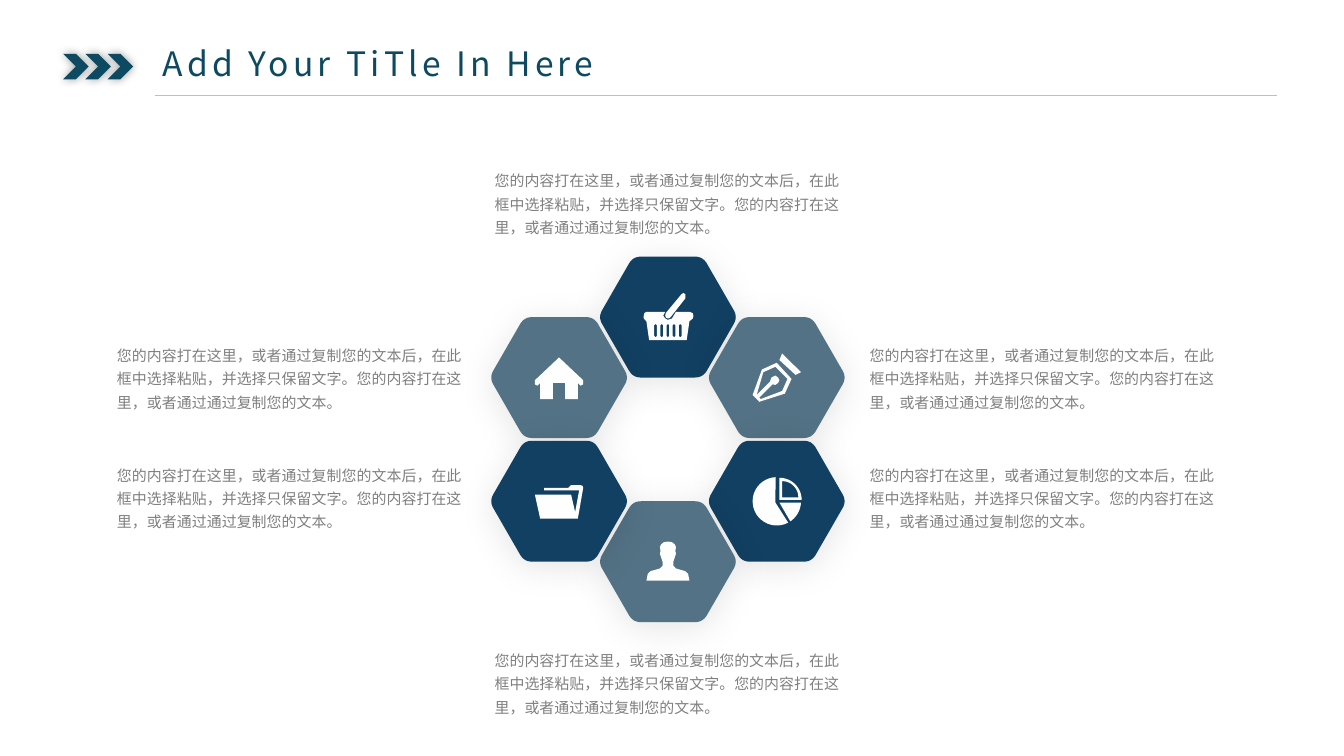
import math
from dataclasses import dataclass

from lxml import etree
from pptx import Presentation
from pptx import util as u
from pptx.dml.color import RGBColor
from pptx.enum import shapes, text
from pptx.oxml.ns import qn


@dataclass(frozen=True)
class Theme:
    title_font: str = "Noto Sans CJK JP"
    body_font: str = "Noto Sans CJK SC"
    title_size: float = 18
    body_size: float = 8
    title: str = "0D4960"
    body: str = "808080"
    rule: str = "BFBFBF"
    dark: str = "124062"
    light: str = "537285"
    icon: str = "FEFEFE"


THEME = Theme()
BODY = ("您的内容打在这里，或者通过复制您的文本后，在此框中选择粘贴，并选择只保留文字。"
        "您的内容打在这里，或者通过通过复制您的文本。")
CAPTION_SIZE = (2.72, 0.6)
CAPTION_SPOTS = [(3.61, 1.2), (6.4, 2.5), (6.4, 3.39), (3.61, 4.77), (0.8, 2.5), (0.8, 3.39)]

# Ring of hexagons, in inches
RING_X, RING_Y = 4.97, 3.27
COLUMN, NEAR_ROW, FAR_ROW = 0.81, 0.46, 0.91
APOTHEM, CORNER_TRIM = 0.45, 0.06


def mirrored(half):
    """Complete a symmetric outline from its right half."""
    return half + [(-x, y) for x, y in reversed(half)]


def sector(apex, center, radius, start, end):
    """Outline from the apex along an arc; degrees run clockwise from the right."""
    steps = 24
    angles = [math.radians(start + (end - start) * i / steps) for i in range(steps + 1)]
    return [apex] + [(center[0] + radius * math.cos(a), center[1] + radius * math.sin(a))
                     for a in angles]


def slot(x):
    return [(x - 1, 6), (x, 5), (x + 1, 6), (x + 1, 14), (x, 15), (x - 1, 14)]


# Icon outlines in hundredths of an inch from the hexagon's centre
BASKET = [
    [(0, 1), (-1.4, 0.4), (-2, -1), (-1.6, -3), (10, -17), (11.5, -18),
     (13, -17), (13, -14), (2, 0), (1, 0.8)],
    [(19, -1), (18.5, 1), (16, 3), (14, 17), (-14, 17), (-16, 3), (-18, 1), (-18, -1),
     (-17.5, -3), (-16, -4), (-2, -4), (-3.5, -1), (-2, 1), (0, 2), (3, 1), (6, -4),
     (16, -4), (18.5, -3)],
] + [slot(4.6 * i) for i in range(-2, 3)]
PEN = [
    [(4, -18), (18, -4), (14, -2), (2, -13)],
    [(11, 1), (0, -11), (-11, -6), (-18, 13), (-13, 18), (6, 12)],
    [(-12, 16), (-13, 15), (-3, 5), (-1, 5.5), (1, 4), (2, 2), (1, 0), (-1, -1.5),
     (-4, 0), (-5, 3), (-15, 13), (-10, -4), (-1, -8), (8, 1), (4, 10)],
]
HOUSE = [mirrored([(0, -15), (18, 2), (18, 5), (16, 6), (14, 4), (14, 16), (4.5, 16), (4.5, 4)])]
PIE = [
    sector((-1, 1), (0, 0), 18, 62, 267),
    sector((2, -1), (2, -1), 16.5, 0, -90),
    sector((4, -3), (4, -3), 12, 0, -90),
    sector((2, 1), (0, 0), 18, 3, 56),
]
PERSON = [mirrored([(0, -15), (3, -14.6), (5, -13), (6, -11), (5.5, -8), (6, -6), (5, -3), (4, 0),
                    (4, 3), (6, 5), (13, 7), (15, 9), (16, 14)])]
FOLDER = [[(16, -12), (9, -12), (7, -10), (-11, -10), (-11, -8), (15, -8), (12, 8), (9, -5),
           (-18, -5), (-14, 13), (14, 13), (18, -10), (17.5, -11.5)]]

HEXAGONS = [
    (0, -FAR_ROW, THEME.dark, BASKET),
    (COLUMN, -NEAR_ROW, THEME.light, PEN),
    (-COLUMN, -NEAR_ROW, THEME.light, HOUSE),
    (COLUMN, NEAR_ROW, THEME.dark, PIE),
    (0, FAR_ROW, THEME.light, PERSON),
    (-COLUMN, NEAR_ROW, THEME.dark, FOLDER),
]


def rounded_hexagon():
    """Outline round the origin, each corner drawn as a quadratic curve."""
    side = APOTHEM / math.cos(math.pi / 6)
    corners = [(side * math.cos(i * math.pi / 3), side * math.sin(i * math.pi / 3))
               for i in range(6)]
    share, steps, outline = CORNER_TRIM / side, 8, []
    for i, corner in enumerate(corners):
        before, after = corners[i - 1], corners[(i + 1) % 6]
        start, end = ([c + (n - c) * share for c, n in zip(corner, near)]
                      for near in (before, after))
        for t in (step / steps for step in range(steps + 1)):
            outline.append(tuple((1 - t) ** 2 * s + 2 * t * (1 - t) * c + t * t * e
                                 for s, c, e in zip(start, corner, end)))
    return outline


def paint(shape, color):
    shape.fill.solid()
    shape.fill.fore_color.rgb = RGBColor.from_string(color)
    shape.line.fill.background()
    shape.shadow.inherit = False


def add_shadow(shape, opacity, blur, distance=0, **options):
    effects = shape.element.spPr.find(qn("a:effectLst"))
    shadow = etree.SubElement(effects, qn("a:outerShdw"), blurRad=str(u.Pt(blur)),
                              dist=str(u.Pt(distance)), dir="5400000", **options, rotWithShape="0")
    black = etree.SubElement(shadow, qn("a:srgbClr"), val="000000")
    etree.SubElement(black, qn("a:alpha"), val=str(opacity * 1000))


def add_outline(slide, contours, center, unit, color):
    def place(point):
        return [u.Inches(c + p * unit) for c, p in zip(center, point)]

    first, *others = contours
    builder = slide.shapes.build_freeform(*place(first[0]), scale=1.0)
    builder.add_line_segments([place(p) for p in first[1:]], close=True)
    for contour in others:
        builder.move_to(*place(contour[0]))
        builder.add_line_segments([place(p) for p in contour[1:]], close=True)
    shape = builder.convert_to_shape()
    paint(shape, color)
    return shape


def write(box, words, font, size, color, margins):
    frame = box.text_frame
    frame.word_wrap = True
    frame.auto_size = text.MSO_AUTO_SIZE.NONE
    frame.margin_left = frame.margin_right = u.Inches(margins[0])
    frame.margin_top = frame.margin_bottom = u.Inches(margins[1])
    para = frame.paragraphs[0]
    para.alignment = text.PP_ALIGN.LEFT
    span = para.add_run()
    span.text = words
    span.font.name, span.font.size = font, u.Pt(size)
    span.font.color.rgb = RGBColor.from_string(color)
    etree.SubElement(span.font._element, qn("a:ea"), typeface=font)
    return para, span


def add_header(slide):
    for i in range(3):
        chevron = slide.shapes.add_shape(shapes.MSO_SHAPE.CHEVRON, u.Inches(0.47 + 0.165 * i),
                                         u.Inches(0.4), u.Inches(0.19), u.Inches(0.19))
        paint(chevron, THEME.title)
        add_shadow(chevron, 40, 5, algn="ctr")
    title = slide.shapes.title
    title.left, title.top, title.width, title.height = map(u.Inches, (1.15, 0.29, 4.35, 0.36))
    para, span = write(title, "Add Your TiTle In Here", THEME.title_font, THEME.title_size,
                       THEME.title, (0.06, 0.03))
    title.text_frame.vertical_anchor = text.MSO_ANCHOR.MIDDLE
    para.line_spacing = 1.0
    span.font._element.set("spc", "220")
    rule = slide.shapes.add_connector(shapes.MSO_CONNECTOR.STRAIGHT,
                                      *map(u.Inches, (1.15, 0.71, 9.5, 0.71)))
    rule.line.color.rgb = RGBColor.from_string(THEME.rule)
    rule.line.width = u.Pt(0.5)
    etree.SubElement(rule._element.spPr, qn("a:effectLst"))


def add_caption(slide, spot):
    box = slide.shapes.add_textbox(*map(u.Inches, spot + CAPTION_SIZE))
    para, _ = write(box, BODY, THEME.body_font, THEME.body_size, THEME.body, (0.07, 0.04))
    para.line_spacing = 1.3


def add_hexagon(slide, dx, dy, color, icon):
    center = RING_X + dx, RING_Y + dy
    tile = add_outline(slide, [rounded_hexagon()], center, 1, color)
    add_shadow(tile, 10, 19, 3, sx="100000", sy="23000", algn="b")
    add_outline(slide, icon, center, 0.01, THEME.icon)


def main():
    deck = Presentation()
    deck.slide_width = u.Inches(10)
    deck.slide_height = deck.slide_width * 9 // 16
    slide = deck.slides.add_slide(deck.slide_layouts[5])
    add_header(slide)
    for spot in CAPTION_SPOTS:
        add_caption(slide, spot)
    for hexagon in HEXAGONS:
        add_hexagon(slide, *hexagon)
    deck.save("out.pptx")


if __name__ == "__main__":
    main()
